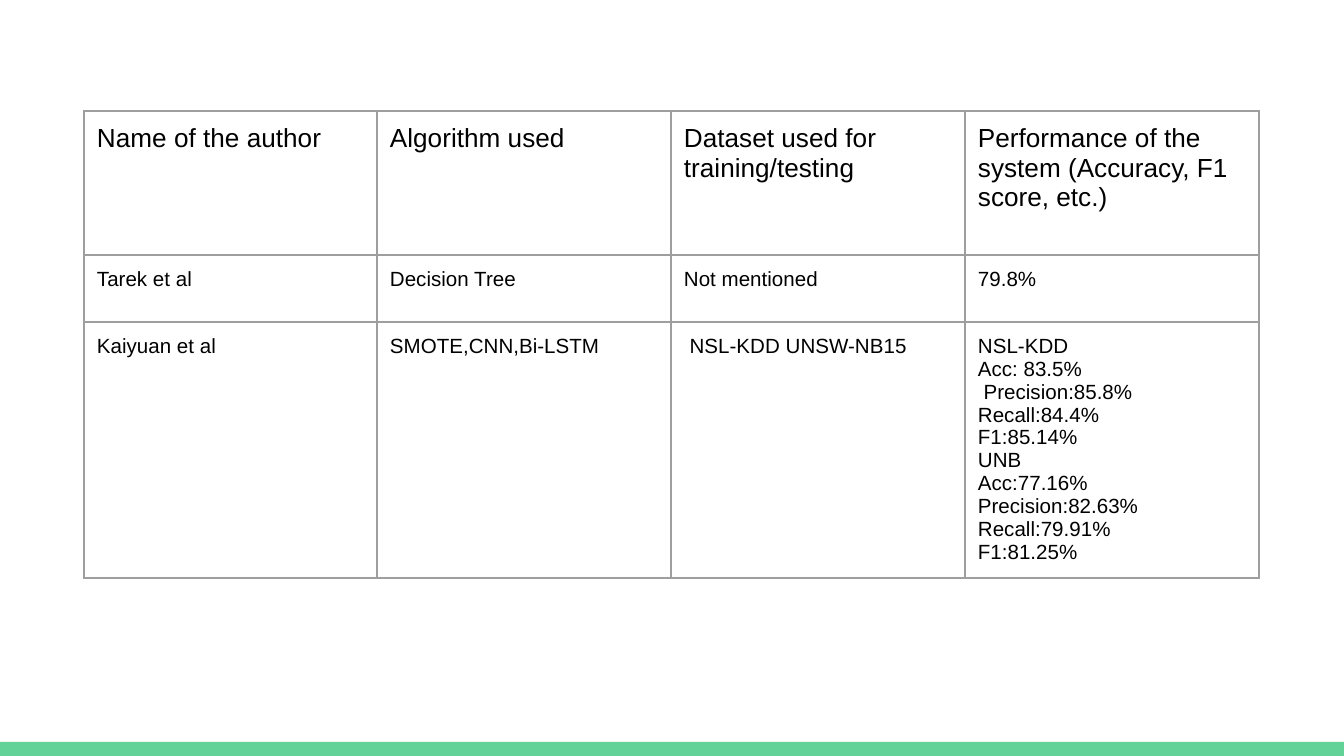
from lxml.etree import SubElement
from pptx import Presentation
from pptx.dml.color import RGBColor
from pptx.enum.shapes import MSO_SHAPE as Shape
from pptx.enum.text import MSO_ANCHOR as Anchor
from pptx.oxml.ns import qn
from pptx.util import Inches, Pt

EMU_PER_PX = Inches(10) / 1344
WHITE = RGBColor(0xFF, 0xFF, 0xFF)
BLACK = RGBColor(0x00, 0x00, 0x00)
GREEN = RGBColor(0x63, 0xD2, 0x97)
GRAY = RGBColor(0x9E, 0x9E, 0x9E)

SLIDE_WIDTH, SLIDE_HEIGHT = 1344, 756
BAR_HEIGHT = 14
TABLE_LEFT, TABLE_TOP = 84, 111
COLUMN_WIDTHS = [293, 294, 294, 294]
ROW_HEIGHTS = [144, 67, 256]
CELL_MARGIN = 13
HEADER_SIZE, BODY_SIZE = 14, 11

RESULTS = """NSL-KDD
Acc: 83.5%
 Precision:85.8%
Recall:84.4%
F1:85.14%
UNB
Acc:77.16%
Precision:82.63%
Recall:79.91%
F1:81.25%"""

STUDIES = [
    ["Name of the author", "Algorithm used", "Dataset used for training/testing",
     "Performance of the system (Accuracy, F1 score, etc.)"],
    ["Tarek et al", "Decision Tree", "Not mentioned", "79.8%"],
    ["Kaiyuan et al", "SMOTE,CNN,Bi-LSTM", " NSL-KDD UNSW-NB15", RESULTS],
]


def px(length):
    return round(length * EMU_PER_PX)


def add_bottom_bar(slide):
    bar = slide.shapes.add_shape(
        Shape.RECTANGLE, 0, px(SLIDE_HEIGHT - BAR_HEIGHT), px(SLIDE_WIDTH), px(BAR_HEIGHT))
    bar.shadow.inherit = False
    bar.fill.solid()
    bar.fill.fore_color.rgb = GREEN
    bar.line.fill.background()


def add_borders(cell):
    properties = cell._tc.get_or_add_tcPr()
    for position, side in enumerate(("lnL", "lnR", "lnT", "lnB")):
        border = SubElement(properties, qn(f"a:{side}"), w=str(Pt(0.75)))
        fill = SubElement(border, qn("a:solidFill"))
        SubElement(fill, qn("a:srgbClr"), val=str(GRAY))
        properties.insert(position, border)


def fill_cell(cell, text, size):
    cell.text = text
    cell.vertical_anchor = Anchor.TOP
    cell.margin_left = cell.margin_right = px(CELL_MARGIN)
    cell.margin_top = cell.margin_bottom = px(CELL_MARGIN)
    cell.fill.background()
    add_borders(cell)
    for paragraph in cell.text_frame.paragraphs:
        paragraph.font.name = "Arial"
        paragraph.font.size = Pt(size)
        paragraph.font.color.rgb = BLACK


def add_study_table(slide):
    table = slide.shapes.add_table(
        len(ROW_HEIGHTS), len(COLUMN_WIDTHS), px(TABLE_LEFT), px(TABLE_TOP),
        px(sum(COLUMN_WIDTHS)), px(sum(ROW_HEIGHTS))).table
    table.first_row = False
    table.horz_banding = False
    for column, width in zip(table.columns, COLUMN_WIDTHS):
        column.width = px(width)
    for index, (row, height, texts) in enumerate(zip(table.rows, ROW_HEIGHTS, STUDIES)):
        row.height = px(height)
        size = HEADER_SIZE if index == 0 else BODY_SIZE
        for cell, text in zip(row.cells, texts):
            fill_cell(cell, text, size)


def main():
    deck = Presentation()
    deck.slide_width = px(SLIDE_WIDTH)
    deck.slide_height = px(SLIDE_HEIGHT)
    slide = deck.slides.add_slide(deck.slide_layouts[6])
    slide.background.fill.solid()
    slide.background.fill.fore_color.rgb = WHITE
    add_bottom_bar(slide)
    add_study_table(slide)
    deck.save("out.pptx")


if __name__ == "__main__":
    main()
